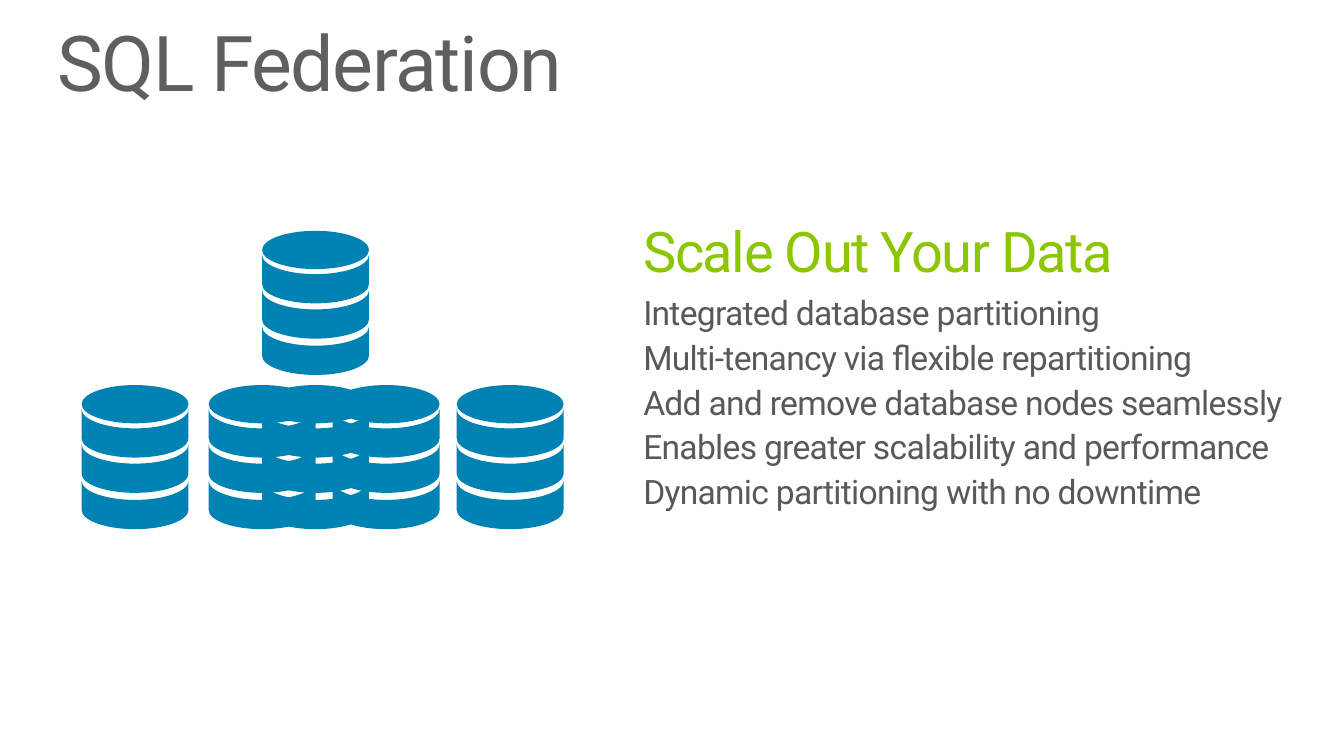
from dataclasses import dataclass

from pptx import Presentation
from pptx.dml.color import RGBColor
from pptx.oxml.ns import qn
from pptx.util import Inches, Pt


@dataclass(frozen=True)
class Theme:
    font: str = "Roboto"
    title_color: RGBColor = RGBColor(0x5F, 0x5F, 0x5F)
    heading_color: RGBColor = RGBColor(0x8C, 0xC6, 0x00)
    body_color: RGBColor = RGBColor(0x59, 0x59, 0x59)
    database_color: RGBColor = RGBColor(0x00, 0x83, 0xB3)
    title_size: int = 55
    heading_size: int = 40
    body_size: int = 24


theme = Theme()


def write_line(para, text, *, size, color, tracking, before=0, after=0):
    """Fill a paragraph; tracking is in hundredths of a point."""
    para.line_spacing = 0.9
    para.space_before = Pt(before)
    para.space_after = Pt(after)
    span = para.add_run()
    span.text = text
    span.font.name = theme.font
    span.font.size = Pt(size)
    span.font.color.rgb = color
    span.font._element.set("spc", str(tracking))


def add_frame(page, left, top, width, height):
    frame = page.shapes.add_textbox(
        Inches(left), Inches(top), Inches(width), Inches(height)).text_frame
    frame.word_wrap = True
    frame.margin_left = frame.margin_top = 0
    frame.margin_right = frame.margin_bottom = 0
    return frame


deck = Presentation()
deck.slide_width = Inches(13.33)
deck.slide_height = Inches(7.5)
page = deck.slides.add_slide(deck.slide_layouts[6])

# Title
title = add_frame(page, 0.57, 0.25, 12.19, 0.83)
write_line(title.paragraphs[0], "SQL Federation", size=theme.title_size,
           color=theme.title_color, tracking=-100)

# Heading and benefits
message = add_frame(page, 6.38, 2.22, 6.38, 4.09)
write_line(message.paragraphs[0], "Scale Out Your Data", size=theme.heading_size,
           color=theme.heading_color, tracking=-100, after=3)
benefits = [
    "Integrated database partitioning",
    "Multi-tenancy via flexible repartitioning",
    "Add and remove database nodes seamlessly",
    "Enables greater scalability and performance",
    "Dynamic partitioning with no downtime",
]
for benefit in benefits:
    write_line(message.add_paragraph(), benefit, size=theme.body_size,
               color=theme.body_color, tracking=-50, before=6)

# Control points of one database: a lid and three bands, all cubic curves
RADIUS_X, RADIUS_Y = 0.53, 0.19
BAND_TOPS = [0.24, 0.59, 0.95]
BAND_HEIGHT = 0.29
BEND = 0.55
half_circle = [(1, 0), (1, BEND), (BEND, 1), (0, 1), (-BEND, 1), (-1, BEND), (-1, 0)]
front_arc = [(RADIUS_X * (1 + x), RADIUS_Y * y) for x, y in half_circle]
lid_front = [(x, RADIUS_Y + y) for x, y in front_arc]
lid_back = [(x, RADIUS_Y - y) for x, y in reversed(front_arc)]
contours = [lid_front + lid_back[1:]]
for band_top in BAND_TOPS:
    lower_edge = [(x, band_top + BAND_HEIGHT + y) for x, y in front_arc]
    upper_edge = [(x, band_top + y) for x, y in reversed(front_arc)]
    contours.append(upper_edge[-1:] + lower_edge[:1] * 3 + lower_edge[1:]
                    + upper_edge[:1] * 3 + upper_edge[1:])
contours = [[(Inches(x), Inches(y)) for x, y in contour] for contour in contours]

# Source database above its row of partitions
ROW_TOP = 3.82
databases = [(3.3, ROW_TOP), (0.81, ROW_TOP), (2.07, ROW_TOP),
             (4.53, ROW_TOP), (2.6, 2.29), (2.6, ROW_TOP)]
for left, top in databases:
    builder = page.shapes.build_freeform(*contours[0][0])
    builder.add_line_segments(contours[0][1:], close=True)
    for contour in contours[1:]:
        builder.move_to(*contour[0])
        builder.add_line_segments(contour[1:], close=True)
    database = builder.convert_to_shape(Inches(left), Inches(top))
    database.shadow.inherit = False
    database.fill.solid()
    database.fill.fore_color.rgb = theme.database_color
    database.line.fill.background()

    # Join each three segments into one curve
    segments = list(database._element.iter(qn("a:lnTo")))
    for curve, second, third in zip(segments[::3], segments[1::3], segments[2::3]):
        curve.tag = qn("a:cubicBezTo")
        for segment in (second, third):
            curve.append(segment[0])
            segment.getparent().remove(segment)

deck.save("out.pptx")
